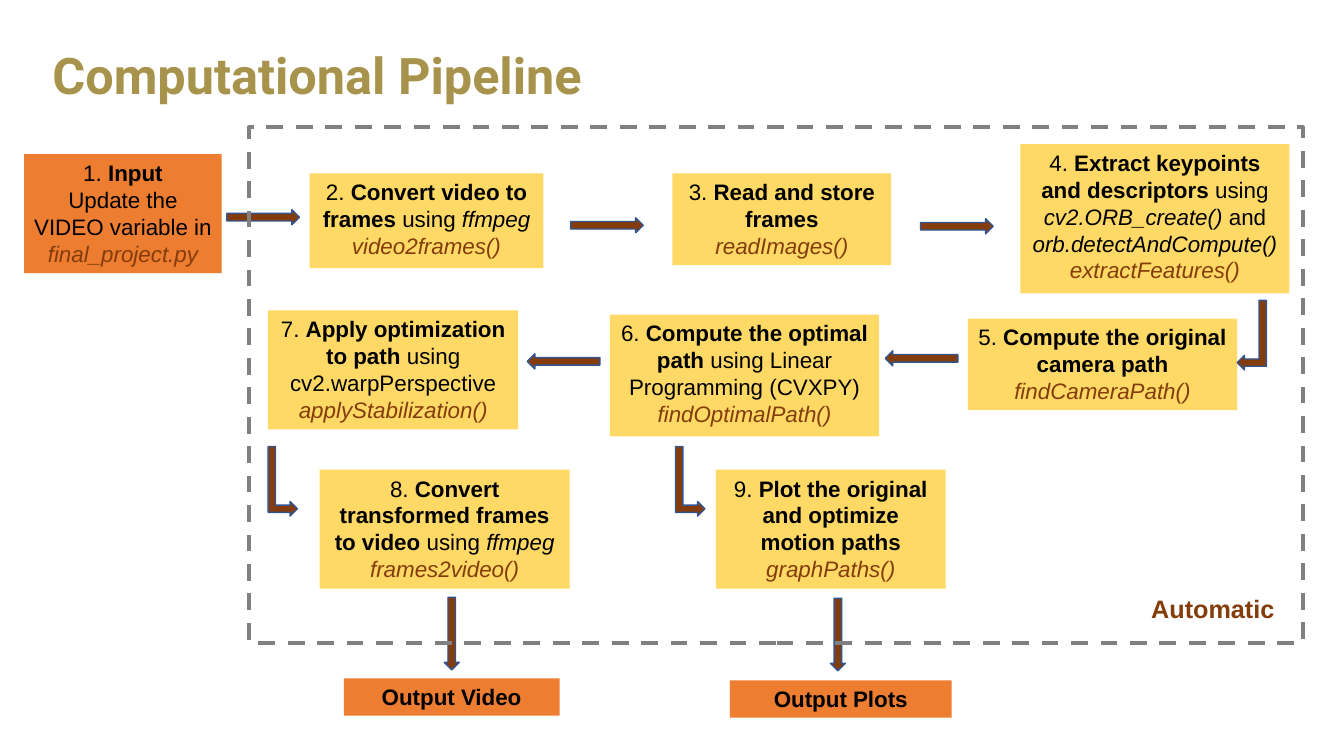
from pptx import Presentation
from pptx.dml.color import RGBColor
from pptx.enum import dml, shapes, text
from pptx.util import Inches, Pt

HUES = {"gold": "A7934B", "orange": "ED7D31", "yellow": "FFD966", "brown": "843C0B",
        "blue": "325491", "gray": "808080", "black": "000000"}
FORMS = shapes.MSO_SHAPE


def style(font, size, hue, bold=None, name="Arial"):
    font.name, font.size, font.bold = name, Pt(size), bold
    font.color.rgb = RGBColor.from_string(HUES[hue])


def draw(form, place, fill=None, line=None, width=1):
    """Add a preset shape without shadow; no fill or line unless a hue is named."""
    shape = slide.shapes.add_shape(form, *map(Inches, place))
    shape.shadow.inherit = False
    for paint, hue in ((shape.fill, fill), (shape.line.fill, line)):
        if hue:
            paint.solid()
            paint.fore_color.rgb = RGBColor.from_string(HUES[hue])
        else:
            paint.background()
    if line:
        shape.line.width = Pt(width)
    return shape


deck = Presentation()
deck.slide_width, deck.slide_height = Inches(13.33), Inches(7.5)
slide = deck.slides.add_slide(deck.slide_layouts[5])

title = slide.shapes.title
title.left, title.top, title.width, title.height = map(Inches, (0.42, 0.22, 12.5, 1.11))
title.text_frame.text = "Computational Pipeline"
title.text_frame.vertical_anchor = text.MSO_ANCHOR.MIDDLE
head = title.text_frame.paragraphs[0]
head.alignment = text.PP_ALIGN.LEFT
head.line_spacing = 0.9
style(head.font, 36, "gold", True, "Roboto")

# Place, fill, then paragraphs of runs: b is bold, i italic, f a brown italic file or function
boxes = [
    ((0.24, 1.53, 1.96, 1.18), "orange",
     [[("1. ", ""), ("Input", "b")],
      [("Update the VIDEO variable in ", ""), ("final_project.py", "f")]]),
    ((3.07, 1.72, 2.32, 0.94), "yellow",
     [[("2. ", ""), ("Convert video to frames ", "b"), ("using ", ""), ("ffmpeg", "i")],
      [("video2frames()", "f")]]),
    ((6.67, 1.72, 2.17, 0.91), "yellow",
     [[("3. ", ""), ("Read and store frames", "b")], [("readImages()", "f")]]),
    ((10.12, 1.43, 2.67, 1.48), "yellow",
     [[("4. ", ""), ("Extract keypoints and descriptors ", "b"), ("using ", ""),
       ("cv2.ORB_create() ", "i"), ("and ", ""), ("orb.detectAndCompute()", "i")],
      [("extractFeatures()", "f")]]),
    ((9.6, 3.16, 2.67, 0.91), "yellow",
     [[("5. ", ""), ("Compute the original camera path", "b")], [("findCameraPath()", "f")]]),
    ((6.05, 3.12, 2.67, 1.21), "yellow",
     [[("6. ", ""), ("Compute the optimal path ", "b"),
       ("using Linear Programming (CVXPY)", "")],
      [("findOptimalPath()", "f")]]),
    ((2.66, 3.08, 2.48, 1.18), "yellow",
     [[("7. ", ""), ("Apply optimization to path ", "b"), ("using cv2.warpPerspective", "")],
      [("applyStabilization()", "f")]]),
    ((3.17, 4.66, 2.48, 1.18), "yellow",
     [[("8. ", ""), ("Convert transformed frames to video ", "b"), ("using ", ""),
       ("ffmpeg", "i")],
      [("frames2video()", "f")]]),
    ((7.1, 4.66, 2.28, 1.18), "yellow",
     [[("9. ", ""), ("Plot the original and optimize motion paths", "b")],
      [("graphPaths()", "f")]]),
    ((3.41, 6.73, 2.14, 0.37), "orange", [[("Output Video", "b")]]),
    ((7.24, 6.75, 2.2, 0.37), "orange", [[("Output Plots", "b")]]),
]
for place, fill, lines in boxes:
    frame = draw(FORMS.RECTANGLE, place, fill).text_frame
    frame.word_wrap = True
    frame.auto_size = text.MSO_AUTO_SIZE.SHAPE_TO_FIT_TEXT
    frame.vertical_anchor = text.MSO_ANCHOR.TOP
    for index, parts in enumerate(lines):
        para = frame.add_paragraph() if index else frame.paragraphs[0]
        para.alignment = text.PP_ALIGN.CENTER
        style(para.font, 16, "black")
        for words, mark in parts:
            run = para.add_run()
            run.text = words
            if mark == "b":
                run.font.bold = True
            elif mark:
                run.font.italic = True
            if mark == "f":
                run.font.color.rgb = RGBColor.from_string(HUES["brown"])

# Form, left, top, turn
straight, bent = (0.72, 0.15), (0.69, 0.29)
arrows = [
    (FORMS.RIGHT_ARROW, straight, [(2.25, 2.08, 0), (5.66, 2.16, 0), (9.13, 2.17, 0),
                                   (4.12, 6.21, 90), (7.95, 6.22, 90)]),
    (FORMS.LEFT_ARROW, straight, [(8.78, 3.48, 0), (5.23, 3.51, 0)]),
    (FORMS.BENT_UP_ARROW, bent, [(12.07, 3.18, 270), (2.46, 4.63, 90), (6.5, 4.63, 90)]),
]
for form, size, spots in arrows:
    for left, top, turn in spots:
        arrow = draw(form, (left, top, *size), "brown", "blue")
        arrow.rotation = turn
        if turn == 270:
            arrow._element.spPr.xfrm.set("flipH", "1")

label = slide.shapes.add_textbox(*map(Inches, (11.32, 5.84, 1.6, 0.4))).text_frame
label.word_wrap = True
label.text = "Automatic"
style(label.paragraphs[0].font, 18, "brown", True)

border = draw(FORMS.RECTANGLE, (2.47, 1.26, 10.45, 5.12), line="gray", width=3)
border.line.dash_style = dml.MSO_LINE.DASH

deck.save("out.pptx")
